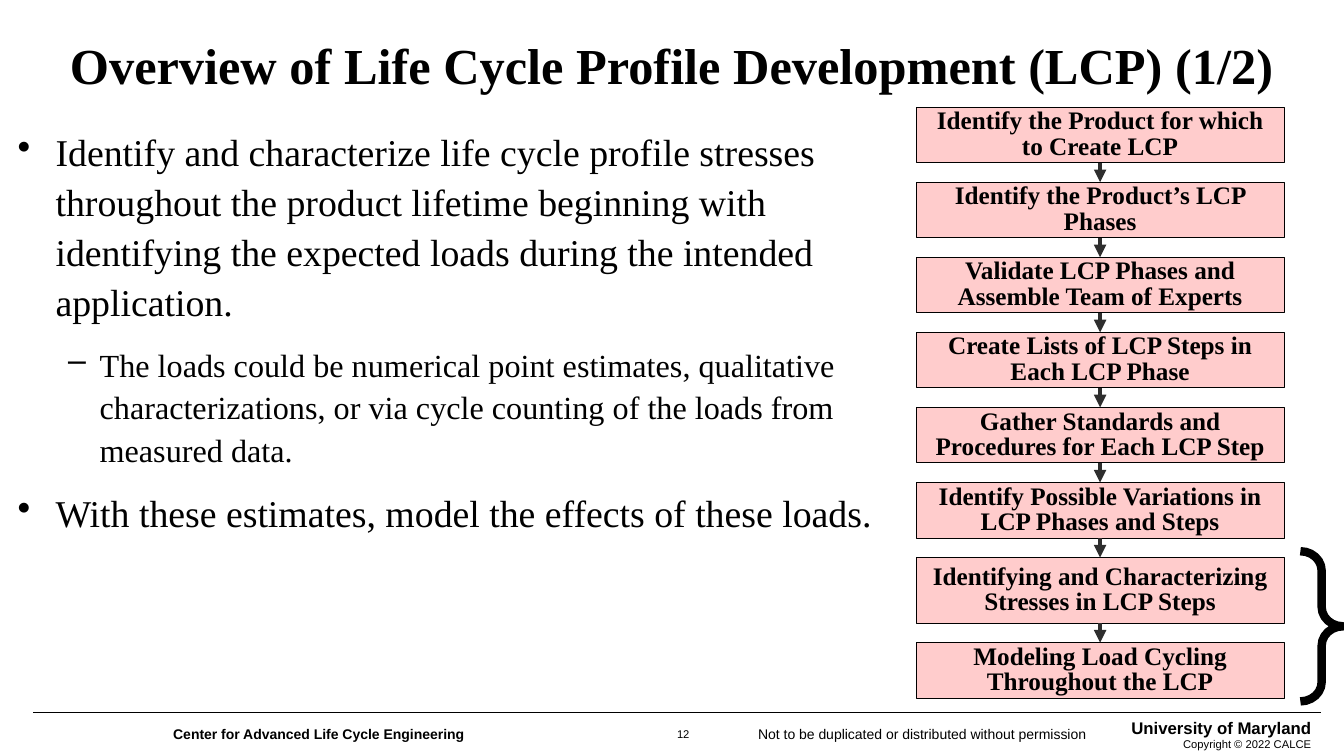
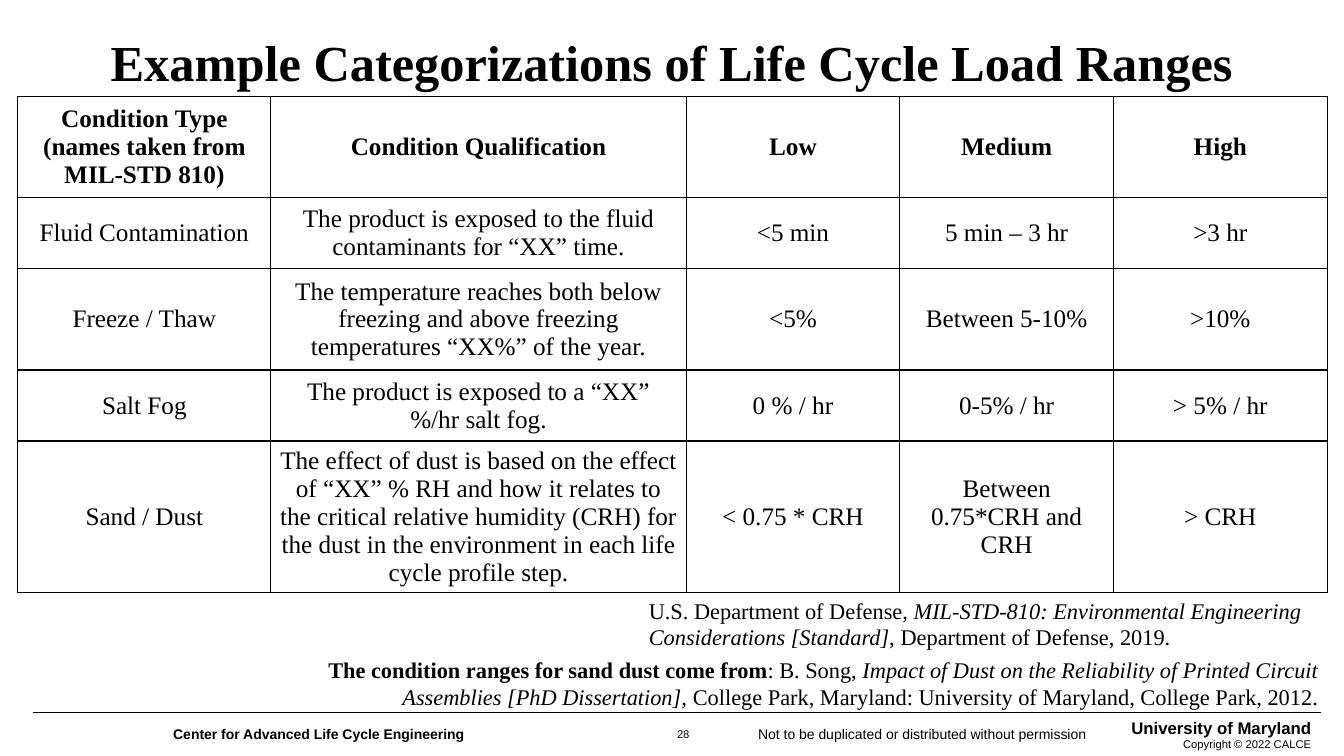
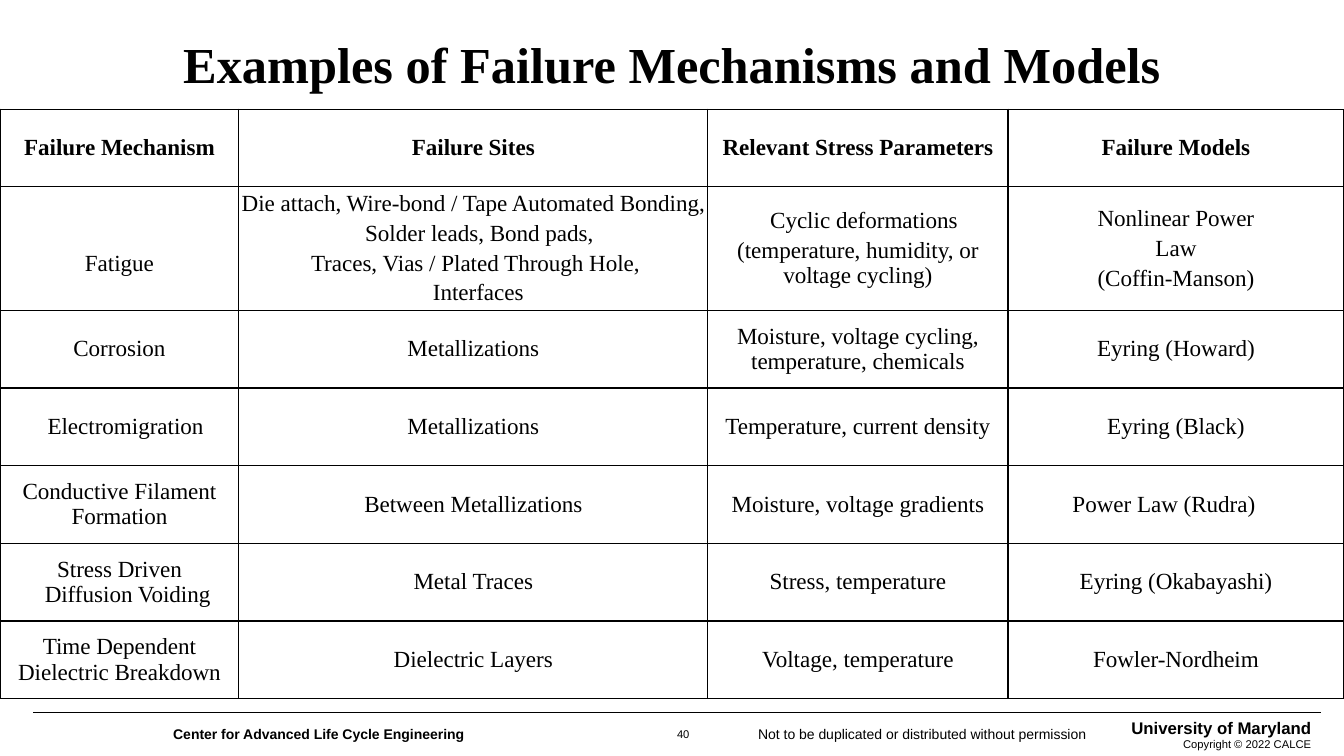
from dataclasses import dataclass
from itertools import accumulate, pairwise

from lxml import etree
from pptx import Presentation
from pptx import slide as slides
from pptx import util as u
from pptx.dml.color import RGBColor
from pptx.enum import shapes, text
from pptx.oxml import ns

WIDTH, HEIGHT = 2560, 1440
SCALE = 12192000 / WIDTH
LEFT, CENTER, RIGHT = text.PP_ALIGN.LEFT, text.PP_ALIGN.CENTER, text.PP_ALIGN.RIGHT
TOP, MIDDLE = text.MSO_ANCHOR.TOP, text.MSO_ANCHOR.MIDDLE
DEFAULT_INSETS = (19, 10, 19, 10)


@dataclass(frozen=True)
class Theme:
    ink: str = "000000"
    paper: str = "FFFFFF"
    step: str = "FFCCCC"
    arrow: str = "2E2E2E"
    serif: str = "Times New Roman"
    sans: str = "Arial"
    title: float = 36
    bullet: float = 27
    dash: float = 23
    label: float = 18
    compact: float = 16.5
    citation: float = 16
    institution: float = 12
    footer: float = 10
    small: float = 8


THEME = Theme()


@dataclass(frozen=True)
class Area:
    left: int
    top: int
    width: int
    height: int


@dataclass(frozen=True)
class Span:
    words: str
    size: float
    bold: bool = False
    italic: bool = False
    font: str = THEME.serif


@dataclass(frozen=True)
class Para:
    spans: tuple[Span, ...]
    align: text.PP_ALIGN = LEFT
    line: float = 1.0
    before: float = 0
    after: float = 0
    indent: int = 0
    hang: int = 0
    bullet: str = ""


@dataclass(frozen=True)
class Line:
    words: str
    indent: int = 0
    before: float = 0


@dataclass(frozen=True)
class Cell:
    lines: tuple[Line, ...]
    insets: tuple[int, int, int, int] | None = None


@dataclass(frozen=True)
class Grid:
    left: int
    top: int
    columns: tuple[int, ...]
    rows: tuple[int, ...]
    size: float
    insets: tuple[int, int, int, int]


@dataclass(frozen=True)
class Step:
    words: str
    height: int = 106


def px(value: int) -> int:
    return round(value * SCALE)


def place(area: Area) -> tuple[int, int, int, int]:
    return px(area.left), px(area.top), px(area.width), px(area.height)


def rgb(value: str) -> RGBColor:
    return RGBColor.from_string(value)


def write(frame, paras: list[Para]) -> None:
    for index, para in enumerate(paras):
        paragraph = frame.paragraphs[0] if index == 0 else frame.add_paragraph()
        paragraph.alignment = para.align
        paragraph.line_spacing = para.line
        paragraph.space_before = u.Pt(para.before if index else 0)
        paragraph.space_after = u.Pt(para.after)
        properties = paragraph._p.get_or_add_pPr()
        if para.indent:
            properties.set("marL", str(px(para.indent)))
            properties.set("indent", str(-px(para.hang)))
        if para.bullet:
            mark = etree.SubElement(properties, ns.qn("a:buChar"))
            mark.set("char", para.bullet)
        for span in para.spans:
            run = paragraph.add_run()
            run.text = span.words
            run.font.name = span.font
            run.font.size = u.Pt(span.size)
            run.font.bold = span.bold
            run.font.italic = span.italic
            run.font.color.rgb = rgb(THEME.ink)


def add_text(page: slides.Slide, area: Area, paras: list[Para],
             anchor: text.MSO_ANCHOR = TOP, wrap: bool = True) -> None:
    frame = page.shapes.add_textbox(*place(area)).text_frame
    frame.word_wrap = wrap
    frame.vertical_anchor = anchor
    write(frame, paras)


def add_line(page: slides.Slide, start: tuple[int, int], end: tuple[int, int],
             color: str, width: float):
    line = page.shapes.add_connector(
        shapes.MSO_CONNECTOR.STRAIGHT, px(start[0]), px(start[1]), px(end[0]), px(end[1]))
    line.line.color.rgb = rgb(color)
    line.line.width = u.Pt(width)
    etree.SubElement(line._element.spPr, ns.qn("a:effectLst"))
    return line


def add_page(deck, title: str, title_area: Area, number: str) -> slides.Slide:
    page = deck.slides.add_slide(deck.slide_layouts[6])
    page.background.fill.solid()
    page.background.fill.fore_color.rgb = rgb(THEME.paper)
    sans = THEME.sans
    add_text(page, Area(1578, 1357, 939, 83), [
        Para((Span("University of Maryland", THEME.institution, True, font=sans),), RIGHT),
        Para((Span("Copyright © 2022 CALCE", THEME.small, font=sans),), RIGHT)])
    add_text(page, Area(1269, 1375, 65, 46),
             [Para((Span(number, THEME.small, font=sans),), CENTER)], wrap=False)
    add_line(page, (63, 1357), (2517, 1357), THEME.ink, 1)
    add_text(page, Area(311, 1373, 1000, 52), [Para((
        Span("Center for Advanced Life Cycle Engineering", THEME.footer, True, font=sans),))])
    add_text(page, Area(1425, 1373, 800, 52), [Para((
        Span("Not to be duplicated or distributed without permission", THEME.footer, font=sans),))])
    add_text(page, title_area, [Para((Span(title, THEME.title, True),), CENTER)], MIDDLE)
    return page


def add_steps(page: slides.Slide, left: int, top: int, width: int, gap: int,
              steps: list[Step]) -> None:
    tops = accumulate((step.height + gap for step in steps[:-1]), initial=top)
    boxes = []
    for step, step_top in zip(steps, tops):
        box = page.shapes.add_shape(
            shapes.MSO_SHAPE.RECTANGLE, *place(Area(left, step_top, width, step.height)))
        box.shadow.inherit = False
        box.fill.solid()
        box.fill.fore_color.rgb = rgb(THEME.step)
        box.line.color.rgb = rgb(THEME.ink)
        box.line.width = u.Pt(0.75)
        box.text_frame.word_wrap = True
        box.text_frame.vertical_anchor = MIDDLE
        write(box.text_frame, [Para((Span(step.words, THEME.label, True),), CENTER, 0.85)])
        boxes.append(box)
    for upper, lower in pairwise(boxes):
        arrow = add_line(page, (0, 0), (0, 0), THEME.arrow, 3)
        arrow.begin_connect(upper, 2)
        arrow.end_connect(lower, 0)
        head = etree.SubElement(arrow.line._get_or_add_ln(), ns.qn("a:tailEnd"))
        head.set("type", "triangle")


def add_brace(page: slides.Slide, area: Area) -> None:
    brace = page.shapes.add_shape(shapes.MSO_SHAPE.RIGHT_BRACE, *place(area))
    brace.shadow.inherit = False
    brace.fill.background()
    brace.line.color.rgb = rgb(THEME.ink)
    brace.line.width = u.Pt(6)
    brace.adjustments[0] = 0.455
    brace.adjustments[1] = 0.5


def add_borders(cell) -> None:
    properties = cell._tc.get_or_add_tcPr()
    for index, side in enumerate(("a:lnL", "a:lnR", "a:lnT", "a:lnB")):
        border = etree.Element(ns.qn(side), w=str(u.Pt(1)))
        fill = etree.SubElement(border, ns.qn("a:solidFill"))
        etree.SubElement(fill, ns.qn("a:srgbClr"), val=THEME.ink)
        properties.insert(index, border)


def add_grid(page: slides.Slide, grid: Grid, content: list[list[str | Cell]]) -> None:
    area = Area(grid.left, grid.top, sum(grid.columns), sum(grid.rows))
    table = page.shapes.add_table(len(grid.rows), len(grid.columns), *place(area)).table
    table.horz_banding = False
    for column, width in zip(table.columns, grid.columns):
        column.width = px(width)
    for row, height in zip(table.rows, grid.rows):
        row.height = px(height)
    for row_index, entries in enumerate(content):
        for column_index, entry in enumerate(entries):
            source = entry if isinstance(entry, Cell) else Cell((Line(entry),))
            cell = table.cell(row_index, column_index)
            cell.fill.solid()
            cell.fill.fore_color.rgb = rgb(THEME.paper)
            cell.vertical_anchor = MIDDLE
            left, top, right, bottom = source.insets or grid.insets
            cell.margin_left, cell.margin_top = px(left), px(top)
            cell.margin_right, cell.margin_bottom = px(right), px(bottom)
            add_borders(cell)
            write(cell.text_frame, [
                Para((Span(line.words, grid.size, row_index == 0),), CENTER,
                     before=line.before, indent=line.indent)
                for line in source.lines])


def build_overview(deck) -> None:
    page = add_page(deck, "Overview of Life Cycle Profile Development (LCP) (1/2)",
                    Area(0, 2, WIDTH, 240), "12")

    def point(words: str, size: float, indent: int, hang: int, bullet: str) -> Para:
        return Para((Span(words, size),), LEFT, 1.1, 6, 6, indent, hang, bullet)

    add_text(page, Area(15, 228, 1713, 1021), [
        point("Identify and characterize life cycle profile stresses throughout the product "
              "lifetime beginning with identifying the expected loads during the intended "
              "application.", THEME.bullet, 72, 72, "•"),
        point("The loads could be numerical point estimates, qualitative characterizations, "
              "or via cycle counting of the loads from measured data.",
              THEME.dash, 156, 60, "–"),
        point("With these estimates, model the effects of these loads.",
              THEME.bullet, 72, 72, "•")])
    add_brace(page, Area(2477, 1050, 81, 286))
    add_steps(page, 1745, 204, 701, 37, [
        Step("Identify the Product for which to Create LCP"),
        Step("Identify the Product’s LCP Phases"),
        Step("Validate LCP Phases and Assemble Team of Experts"),
        Step("Create Lists of LCP Steps in Each LCP Phase"),
        Step("Gather Standards and Procedures for Each LCP Step"),
        Step("Identify Possible Variations in LCP Phases and Steps"),
        Step("Identifying and Characterizing Stresses in LCP Steps", 125),
        Step("Modeling Load Cycling Throughout the LCP")])


def build_load_ranges(deck) -> None:
    page = add_page(deck, "Example Categorizations of Life Cycle Load Ranges",
                    Area(0, 0, WIDTH, 232), "28")
    dust = ("Sand / Dust",
            "The effect of dust is based on the effect of “XX” % RH and how it relates to the "
            "critical relative humidity (CRH) for the dust in the environment in each life "
            "cycle profile step.",
            "< 0.75 * CRH", "Between 0.75*CRH and CRH", "> CRH")
    grid = Grid(34, 184, (482, 791, 407, 407, 407), (178, 125, 178, 125, 266),
                THEME.label, DEFAULT_INSETS)
    add_grid(page, grid, [
        ["Condition Type (names taken from MIL-STD 810)", "Condition Qualification",
         "Low", "Medium", "High"],
        ["Fluid Contamination",
         "The product is exposed to the fluid contaminants for “XX” time.",
         "<5 min", "5 min – 3 hr", ">3 hr"],
        ["Freeze / Thaw",
         "The temperature reaches both below freezing and above freezing temperatures “XX%” "
         "of the year.", "<5%", "Between 5-10%", ">10%"],
        ["Salt Fog", "The product is exposed to a “XX” %/hr salt fog.",
         "0 % / hr", "0-5% / hr", "> 5% / hr"],
        [Cell((Line(words),), (13, 0, 13, 0)) for words in dust]])
    size = THEME.citation
    add_text(page, Area(570, 1240, 1960, 123), [Para((
        Span("The condition ranges for sand dust come from", size, True),
        Span(": B. Song, ", size),
        Span("Impact of Dust on the Reliability of Printed Circuit Assemblies "
             "[PhD Dissertation], ", size, italic=True),
        Span("College Park, Maryland: University of Maryland, College Park, 2012.", size),
    ), RIGHT)])
    add_text(page, Area(1217, 1127, 1308, 123), [Para((
        Span("U.S. Department of Defense, ", size),
        Span("MIL-STD-810: Environmental Engineering Considerations [Standard], ", size,
             italic=True),
        Span("Department of Defense, 2019.", size)))])


def build_failure_models(deck) -> None:
    page = add_page(deck, "Examples of Failure Mechanisms and Models",
                    Area(0, 33, WIDTH, 177), "40")
    grid = Grid(0, 208, (455, 893, 572, 640), (148, 221, 148, 148, 148, 148, 148),
                THEME.compact, (0, 0, 0, 0))
    add_grid(page, grid, [
        ["Failure Mechanism", "Failure Sites", "Relevant Stress Parameters", "Failure Models"],
        [Cell((Line("Fatigue"),), (0, 57, 0, 0)),
         Cell((Line("Die attach, Wire-bond / Tape Automated Bonding,"),
               Line("Solder leads, Bond pads,", 23, 3),
               Line("Traces, Vias / Plated Through Hole,", 8, 3),
               Line("Interfaces", 19, 3))),
         Cell((Line("Cyclic deformations", 23),
               Line("(temperature, humidity, or voltage cycling)", before=3))),
         Cell((Line("Nonlinear Power"), Line("Law", before=3),
               Line("(Coffin-Manson)", before=3)))],
        ["Corrosion", "Metallizations", "Moisture, voltage cycling, temperature, chemicals",
         "Eyring (Howard)"],
        [Cell((Line("Electromigration", 23),)), "Metallizations",
         "Temperature, current density", "Eyring (Black)"],
        ["Conductive Filament Formation", "Between Metallizations",
         "Moisture, voltage gradients", Cell((Line("Power Law (Rudra)"),), (0, 0, 46, 0))],
        [Cell((Line("Stress Driven"), Line("Diffusion Voiding", 31))), "Metal Traces",
         "Stress, temperature", "Eyring (Okabayashi)"],
        ["Time Dependent Dielectric Breakdown", "Dielectric Layers", "Voltage, temperature",
         "Fowler-Nordheim"]])


def main() -> None:
    deck = Presentation()
    deck.slide_width, deck.slide_height = px(WIDTH), px(HEIGHT)
    build_overview(deck)
    build_load_ranges(deck)
    build_failure_models(deck)
    deck.save("out.pptx")


if __name__ == "__main__":
    main()
